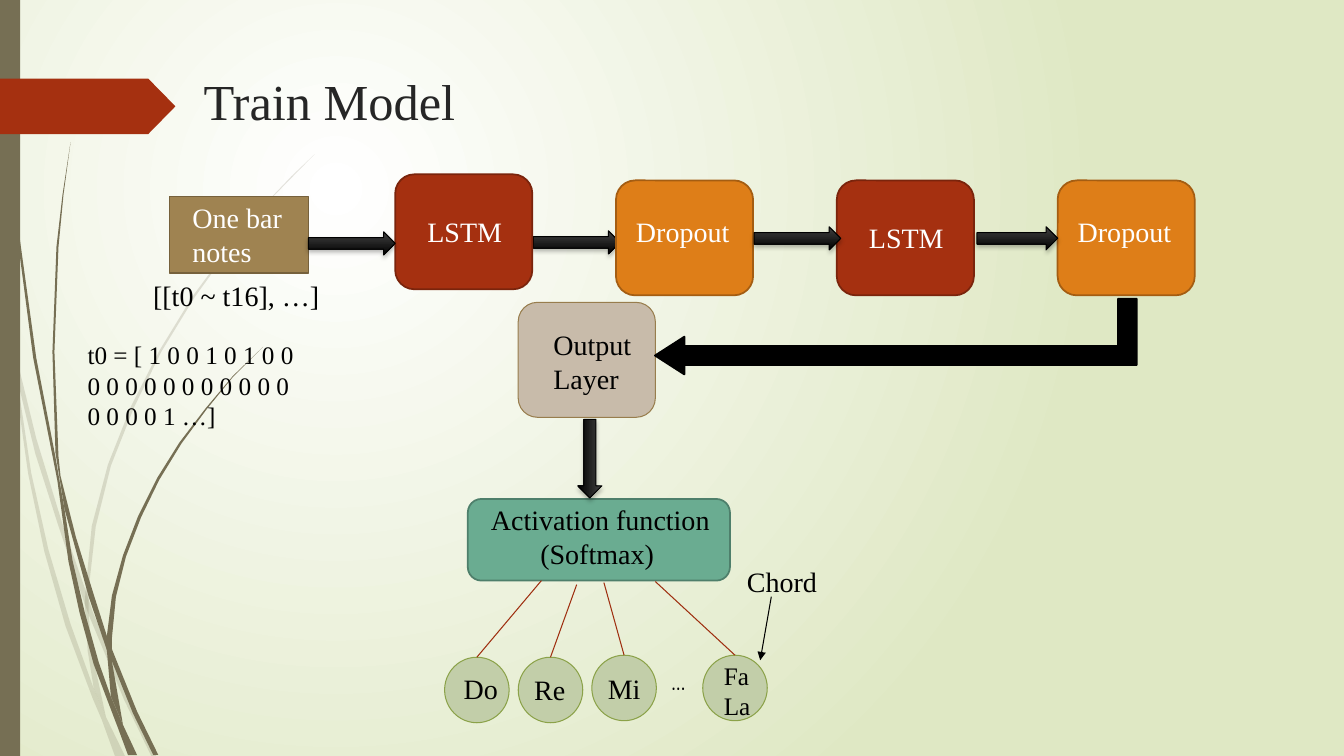
from lxml.etree import SubElement
from pptx import Presentation
from pptx.dml.color import RGBColor
from pptx.enum.shapes import MSO_CONNECTOR, MSO_SHAPE
from pptx.enum.text import MSO_ANCHOR, MSO_AUTO_SIZE, PP_ALIGN
from pptx.oxml.ns import qn
from pptx.util import Inches, Pt

FONT = "Times New Roman"
COLORS = {
    "white": "FFFFFF", "black": "000000", "title": "262626", "edge": "DFE8C4",
    "stem": "766F54", "red": "A53010", "red_line": "7A240C", "ray": "9E2E0F",
    "orange": "DE7E18", "orange_line": "A45D12", "tan": "9F8351", "tan_line": "76613C",
    "beige": "C8BBAA", "beige_line": "987D4D", "green": "C2CEA9", "green_line": "8BA249",
    "teal": "6AAC91", "teal_line": "4E7F6B", "arrow_top": "414141",
}
PALE_WISPS = [
    [(0, 2.82), (0.09, 3.22), (0.14, 3.45), (0.36, 4.35), (0.62, 5.2), (0.85, 5.86),
     (0.92, 6.07), (1.27, 6.92), (1.55, 7.5), (1.5, 7.5), (1.23, 6.94), (0.88, 6.1),
     (0.84, 5.99), (0.58, 5.22), (0.35, 4.5), (0.17, 3.76), (0.1, 3.44), (0, 2.99)],
    [(0.11, 3.5), (0.17, 3.76), (0.31, 4.69), (0.48, 5.45), (0.7, 6.19), (0.93, 6.83),
     (1.05, 7.11), (1.24, 7.5), (1.14, 7.5), (1.01, 7.14), (0.92, 6.93), (0.65, 6.21),
     (0.44, 5.47), (0.28, 4.7)],
    [(3.12, 1.53), (2.89, 1.75), (2.68, 1.97), (2.28, 2.44), (1.91, 2.94), (1.58, 3.48),
     (1.3, 4.03), (1.07, 4.61), (0.91, 5.22), (0.85, 5.84), (0.84, 5.99), (0.87, 6.46),
     (0.93, 6.83), (1.05, 7.11), (0.91, 6.46), (0.88, 6.1), (0.88, 5.84), (0.95, 5.22),
     (1.1, 4.62), (1.33, 4.04), (1.6, 3.49), (1.93, 2.95), (2.29, 2.45), (2.68, 1.98)],
]
DARK_WISPS = [
    [(0.03, 0), (0.04, 0), (0.08, 1.09), (0.19, 2.32), (0.36, 3.55), (0.55, 4.53),
     (0.64, 5.05), (0.72, 5.56), (0.84, 6.07), (0.98, 6.57), (1.1, 6.91), (1.22, 7.19),
     (1.36, 7.49), (1.27, 7.49), (1.17, 7.22), (0.93, 6.59), (0.79, 6.08), (0.68, 5.57),
     (0.57, 4.77), (0.33, 3.55), (0.17, 2.33), (0.07, 1.1)],
    [(0.7, 1.41), (0.63, 1.93), (0.58, 2.45), (0.54, 3.49), (0.58, 4.53), (0.6, 4.72),
     (0.75, 5.32), (0.93, 5.9), (1.06, 6.31), (1.13, 6.49), (1.36, 7.06), (1.57, 7.49),
     (1.52, 7.49), (1.32, 7.08), (1.11, 6.56), (1.06, 6.45), (0.88, 5.92), (0.64, 5.05),
     (0.55, 4.49), (0.52, 3.49), (0.56, 2.45), (0.62, 1.93)],
    [(2.61, 3.44), (2.31, 3.73), (2.04, 4.05), (1.78, 4.39), (1.56, 4.74), (1.37, 5.12),
     (1.22, 5.51), (1.11, 5.91), (1.06, 6.31), (1.06, 6.45), (1.1, 6.91), (1.22, 7.19),
     (1.11, 6.56), (1.11, 6.33), (1.15, 5.92), (1.25, 5.52), (1.4, 5.13), (1.58, 4.76),
     (1.8, 4.4), (2.05, 4.06), (2.31, 3.74)],
]


def rgb(name):
    return RGBColor.from_string(COLORS[name])


def grade(fill, start, end):
    fill.gradient()
    for stop, name, position in zip(fill.gradient_stops, (start, end), (0, 1)):
        stop.color.rgb, stop.position = rgb(name), position


def paint_background(slide):
    grade(slide.background.fill, "white", "edge")
    grad = next(slide.element.iter(qn("a:gradFill")))
    grad.remove(grad.find(qn("a:lin")))
    circle = SubElement(grad, qn("a:path"), {"path": "circle"})
    SubElement(circle, qn("a:fillToRect"), l="50000", t="50000", r="100000", b="100000")


def style(sp, fill, line=None, width=1.25):
    sp.shadow.inherit = False
    sp.fill.solid()
    sp.fill.fore_color.rgb = rgb(fill)
    if line:
        sp.line.color.rgb, sp.line.width = rgb(line), Pt(width)
    else:
        sp.line.fill.background()
    return sp


def add_box(slide, kind, box, fill, line=None, width=1.25):
    sp = slide.shapes.add_shape(kind, *map(Inches, box))
    return style(sp, fill, line, width)


def add_wisp(slide, points, alpha=None):
    outline = [(Inches(x), Inches(y)) for x, y in points]
    builder = slide.shapes.build_freeform(*outline[0])
    builder.add_line_segments(outline[1:], close=True)
    sp = style(builder.convert_to_shape(), "stem")
    if alpha:
        color = sp.element.spPr.find(qn("a:solidFill"))[0]
        SubElement(color, qn("a:alpha"), val=str(alpha * 1000))


def add_run(p, text, size, color, font=FONT):
    r = p.add_run()
    r.text = text
    r.font.size, r.font.name = Pt(size), font
    r.font.color.rgb = rgb(color)


def add_label(slide, box, lines, size=20, color="black", font=FONT):
    tf = slide.shapes.add_textbox(*map(Inches, box)).text_frame
    tf.word_wrap = True
    tf.auto_size = MSO_AUTO_SIZE.SHAPE_TO_FIT_TEXT
    for i, text in enumerate(lines):
        p = tf.add_paragraph() if i else tf.paragraphs[0]
        add_run(p, text, size, color, font)
    return tf


def add_block_arrow(slide, box, rotation=0):
    sp = add_box(slide, MSO_SHAPE.RIGHT_ARROW, box, "black", "black", 0.75)
    grade(sp.fill, "arrow_top", "black")
    sp.fill.gradient_angle = 270
    sp.rotation = rotation
    effects = sp.element.spPr.find(qn("a:effectLst"))
    shadow = SubElement(effects, qn("a:outerShdw"), blurRad=str(Pt(3)), dist=str(Pt(2)),
                        dir="5400000", rotWithShape="0")
    color = SubElement(shadow, qn("a:srgbClr"), val=COLORS["black"])
    SubElement(color, qn("a:alpha"), val="25000")


def add_line(slide, start, end, color):
    line = slide.shapes.add_connector(MSO_CONNECTOR.STRAIGHT, *map(Inches, start + end))
    line.line.color.rgb, line.line.width = rgb(color), Pt(0.75)
    SubElement(line._element.spPr, qn("a:effectLst"))
    return line


def add_title(slide, text):
    title = slide.shapes.title
    title.left, title.top, title.width, title.height = map(Inches, (1.92, 0.65, 9.75, 0.98))
    tf = title.text_frame
    tf.vertical_anchor, tf.auto_size = MSO_ANCHOR.TOP, MSO_AUTO_SIZE.NONE
    p = tf.paragraphs[0]
    p.alignment = PP_ALIGN.LEFT
    add_run(p, text, 36, "title")


def add_decoration(slide):
    for wisp in PALE_WISPS:
        add_wisp(slide, wisp, 20)
    for wisp in DARK_WISPS:
        add_wisp(slide, wisp)
    add_box(slide, MSO_SHAPE.RECTANGLE, (0, 0, 0.2, 7.5), "stem")
    ribbon = add_box(slide, MSO_SHAPE.PENTAGON, (0, 0.78, 1.74, 0.55), "red")
    ribbon.adjustments[0] = 0.49


def add_layers(slide):
    layers = [("LSTM", "red", 1.73, 0.22, 2.08), ("Dropout", "orange", 1.79, 0.1, 2.08),
              ("LSTM", "red", 1.79, 0.22, 2.14), ("Dropout", "orange", 1.79, 0.1, 2.08)]
    for i, (name, color, top, inset, text_top) in enumerate(layers):
        left = 3.92 + 2.19 * i
        add_box(slide, MSO_SHAPE.ROUNDED_RECTANGLE, (left, top, 1.36, 1.14),
                color, color + "_line")
        add_label(slide, (left + inset, text_top, 1.33, 0.44), [name], color="white")


def add_notes_row(slide, activation):
    notes = [("Do", 4.41, 6.52, 4.5, 6.61, (5.37, 5.76)),
             ("Re", 5.14, 6.52, 5.2, 6.62, (5.72, 5.8)),
             ("Mi", 5.87, 6.5, 5.93, 6.61, (5.99, 5.78)),
             ("Fa La", 6.97, 6.5, 7.08, 6.5, (6.5, 5.77))]
    for name, left, top, text_left, text_top, start in notes:
        circle = add_box(slide, MSO_SHAPE.OVAL, (left, top, 0.64, 0.65),
                         "green", "green_line", 0.75)
        chord = " " in name
        add_label(slide, (text_left, text_top, 0.55 if chord else 0.68, 0.44), [name],
                  18 if chord else 20)
        add_line(slide, start, (left + 0.32, top), "ray").end_connect(circle, 0)
    add_label(slide, (6.56, 6.55, 0.35, 0.4), ["…"], 18, font="Quicksand")


def main():
    prs = Presentation()
    prs.slide_width, prs.slide_height = Inches(13.33), Inches(7.5)
    slide = prs.slides.add_slide(prs.slide_layouts[5])
    paint_background(slide)
    add_decoration(slide)
    add_title(slide, "Train Model")

    add_box(slide, MSO_SHAPE.RECTANGLE, (1.68, 1.95, 1.38, 0.76), "tan", "tan_line")
    add_label(slide, (1.81, 1.94, 1.25, 0.77), ["One bar notes"], color="white")
    add_label(slide, (1.42, 2.71, 2.03, 0.44), ["[[t0 ~ t16], …]"])
    add_label(slide, (0.77, 3.32, 2.31, 1.01),
              ["t0 = [ 1 0 0 1 0 1 0 0 0 0 0 0 0 0 0 0 0 0 0 0 0 0 0 1 …]"], 18)

    add_block_arrow(slide, (5.29, 2.29, 0.86, 0.23))
    add_layers(slide)
    for left, top, width in ((3.06, 2.3, 0.86), (7.48, 2.25, 0.86), (9.69, 2.25, 0.8)):
        add_block_arrow(slide, (left, top, width, 0.23))

    add_box(slide, MSO_SHAPE.ROUNDED_RECTANGLE, (5.14, 3, 1.36, 1.14),
            "beige", "beige_line", 0.75)
    add_label(slide, (5.39, 3.2, 1.12, 0.77), ["Output", "Layer"])
    activation = add_box(slide, MSO_SHAPE.ROUNDED_RECTANGLE, (4.64, 4.95, 2.6, 0.81),
                         "teal", "teal_line")
    tf = add_label(slide, (4.77, 4.94, 2.58, 0.77), ["Activation function", "(Softmax)"])
    tf.paragraphs[1]._p.get_or_add_pPr().set("marL", str(Inches(0.49)))
    add_block_arrow(slide, (5.46, 4.43, 0.78, 0.24), 90)

    add_notes_row(slide, activation)
    add_label(slide, (7.31, 5.55, 1.16, 0.44), ["Chord"])
    pointer = add_line(slide, (7.65, 5.92), (7.54, 6.55), "black")
    SubElement(pointer.line._get_or_add_ln(), qn("a:tailEnd"), type="triangle")

    bent = add_box(slide, MSO_SHAPE.BENT_UP_ARROW, (8.51, 0.95, 0.75, 4.78), "black", "black")
    bent.rotation = 270
    bent.element.spPr.xfrm.set("flipH", "1")
    for i, value in enumerate((0.25, 0.25, 0.39)):
        bent.adjustments[i] = value
    prs.save("out.pptx")


if __name__ == "__main__":
    main()
